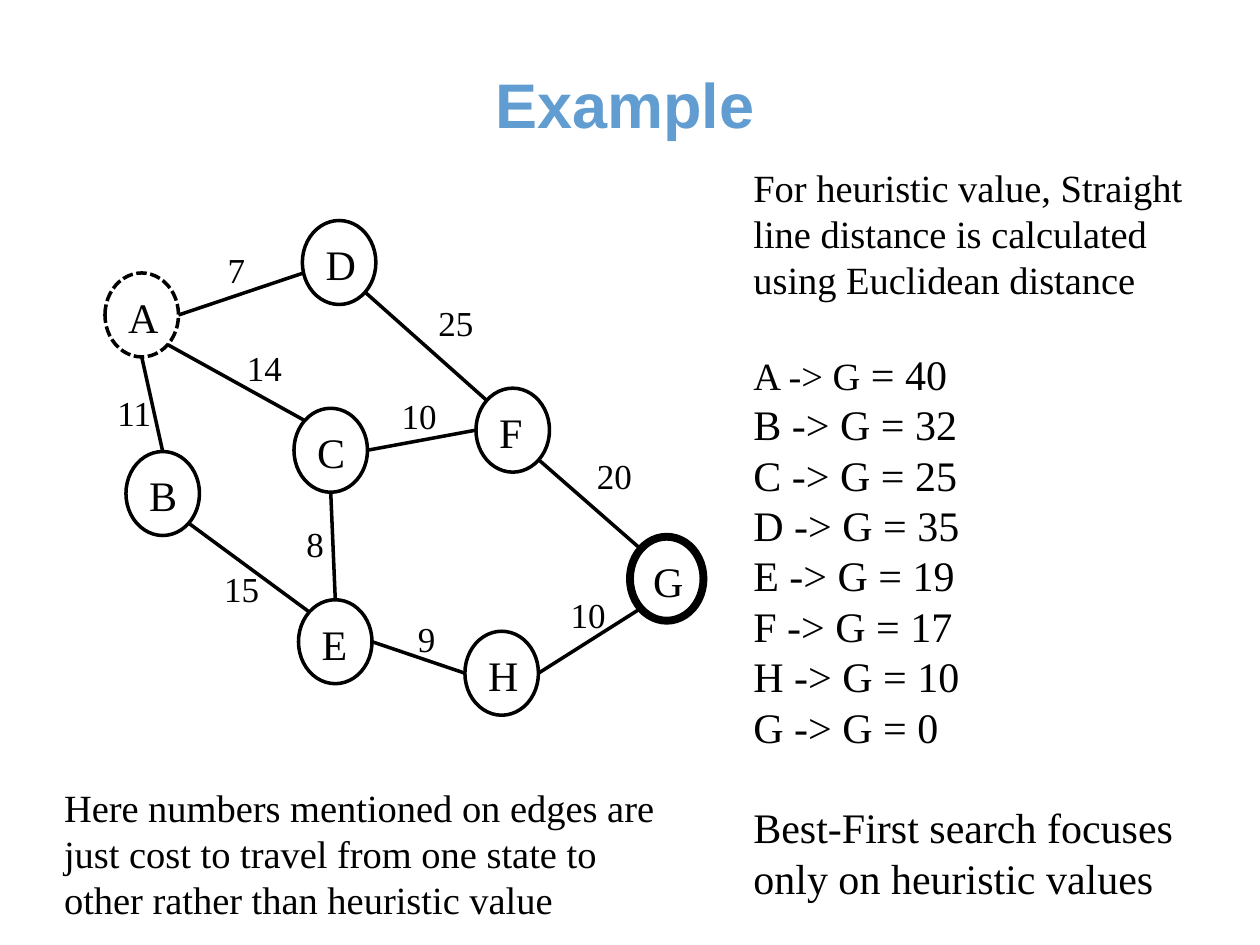
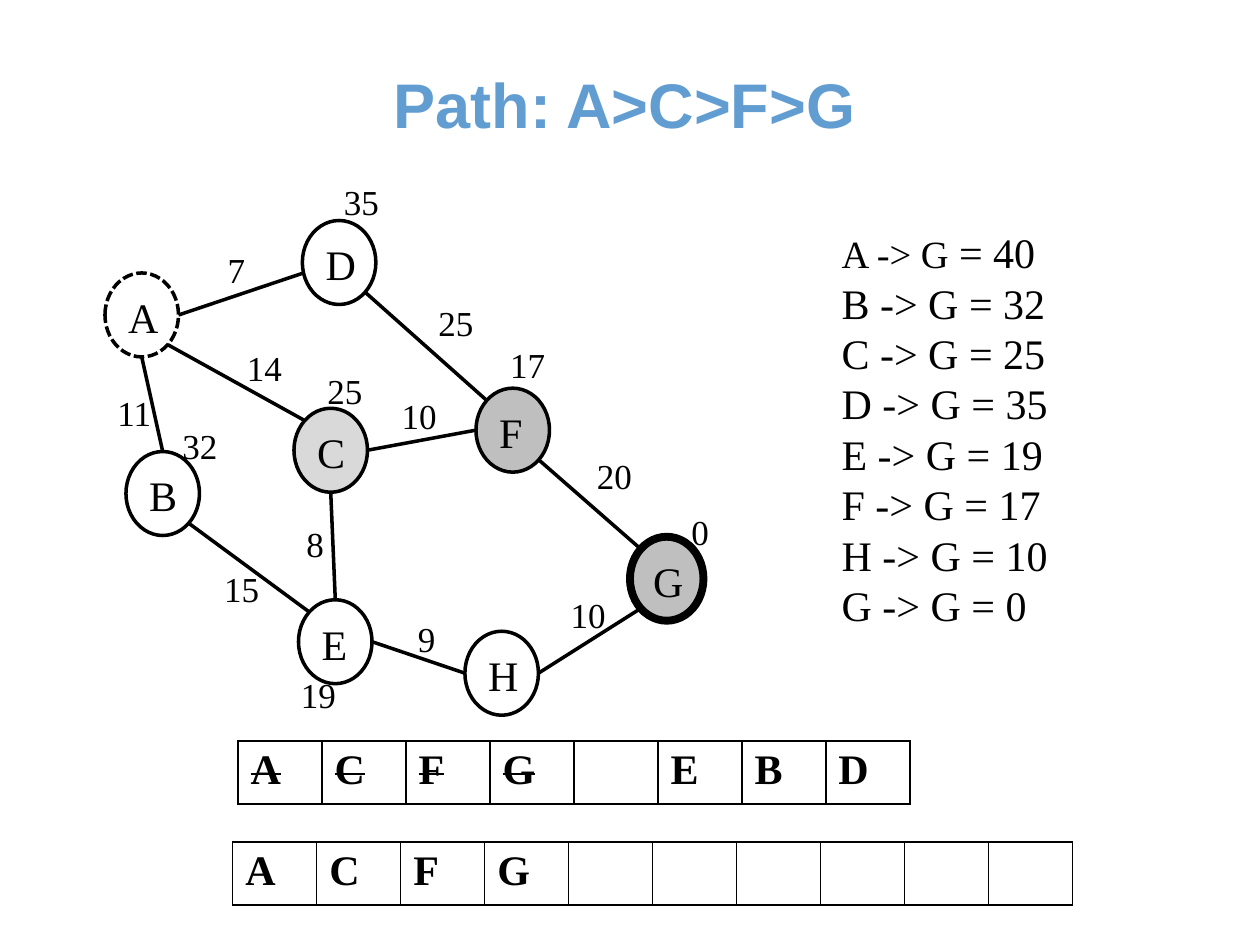
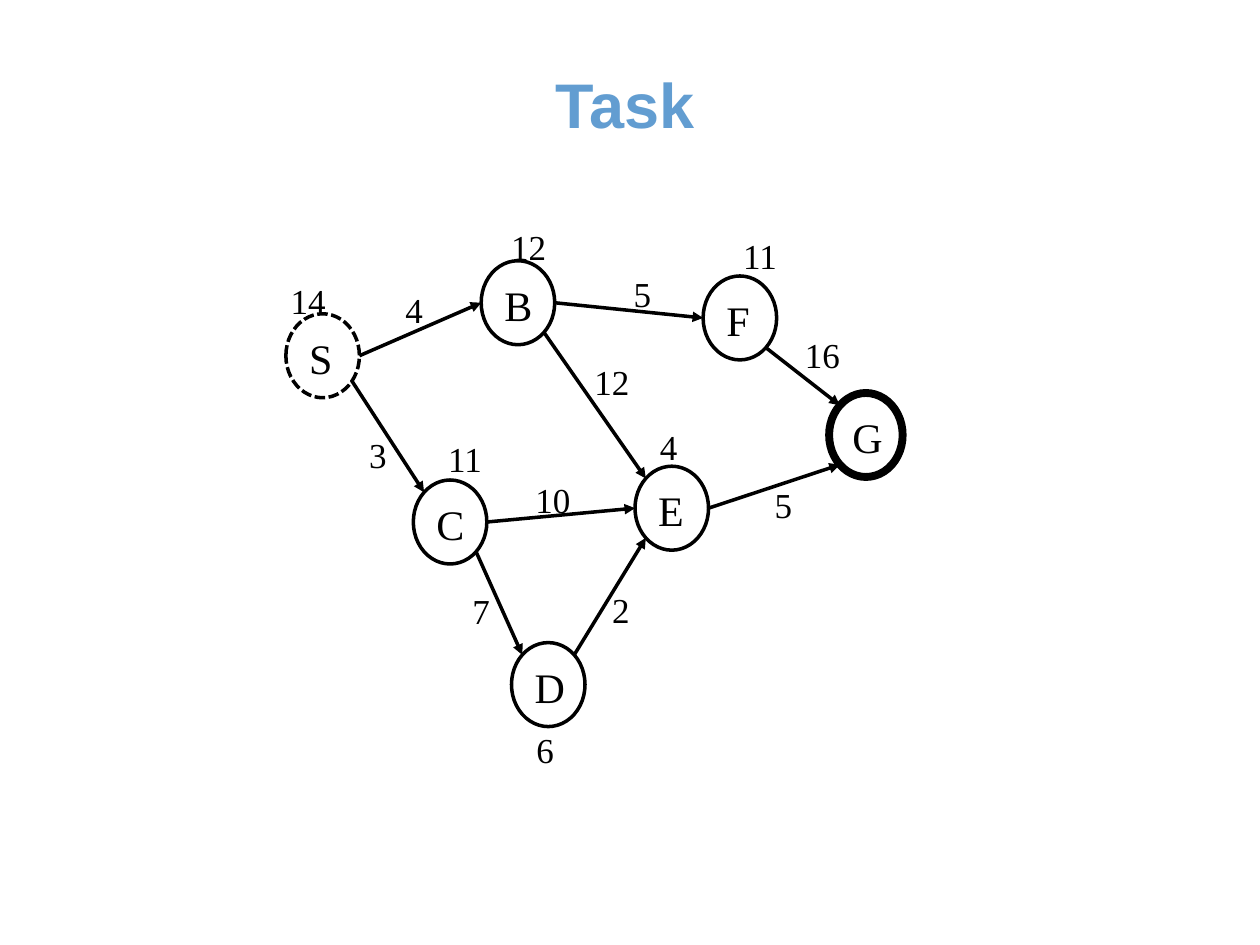
"""Build three slides on best-first search over small weighted graphs."""
from dataclasses import dataclass
from math import cos, pi, sin
from typing import NamedTuple, Optional

from lxml.etree import SubElement
from pptx import Presentation
from pptx.dml.color import RGBColor
from pptx.enum.dml import MSO_LINE
from pptx.enum.shapes import MSO_CONNECTOR, MSO_SHAPE
from pptx.enum.text import MSO_ANCHOR, PP_ALIGN
from pptx.oxml.ns import qn
from pptx.shapes.autoshape import Shape
from pptx.slide import Slide
from pptx.text.text import TextFrame
from pptx.util import Pt

COLORS = {"title": "629DD1", "ink": "000000", "light": "D9D9D9", "gray": "BFBFBF"}
SERIF, SANS = "Times New Roman", "Arial"
NODE_W, NODE_H = 42, 48
CELL_W, CELL_H = 48, 29.5
TOP, TOP_LEFT, LEFT, BOTTOM_LEFT, BOTTOM, BOTTOM_RIGHT, RIGHT, TOP_RIGHT = range(8)


class Label(NamedTuple):
    """A number and the top left corner of its box."""
    text: str
    x: float
    y: float


@dataclass
class Node:
    """A state of the graph; h is its heuristic label."""
    name: str
    x: float
    y: float
    h: Optional[Label] = None
    fill: Optional[str] = None
    dashed: bool = False
    weight: float = 2

    def site(self, i: int) -> tuple[float, float]:
        """Return connection site i, counted anticlockwise from the top."""
        angle = pi / 2 + i * pi / 4
        return (self.x + NODE_W / 2 * (1 + cos(angle)),
                self.y + NODE_H / 2 * (1 - sin(angle)))


class Edge(NamedTuple):
    """A link between two nodes; a point replaces a site where the end is free."""
    start: str
    out: int | tuple[float, float]
    end: str
    into: int | tuple[float, float]
    cost: Label


SEARCH_NODES = [
    Node("D", 172.8, 126, Label("35", 189.4, 99.4)),
    Node("A", 60, 156, dashed=True),
    Node("B", 72, 258, Label("32", 97.2, 239)),
    Node("C", 168, 233.3, Label("25", 180, 207.4), "light"),
    Node("F", 272, 221.8, Label("17", 284.4, 193), "gray"),
    Node("E", 170.6, 342.7, Label("19", 164.9, 381.6)),
    Node("G", 360, 306.7, Label("0", 388, 288), "gray", weight=4.5),
    Node("H", 265.7, 360.7),
]
SEARCH_EDGES = [
    Edge("A", RIGHT, "D", (172.8, 156.2), Label("7", 123, 138.2)),
    Edge("A", BOTTOM, "B", TOP, Label("11", 60, 220.3)),
    Edge("A", BOTTOM_RIGHT, "C", TOP_LEFT, Label("14", 134, 194.4)),
    Edge("D", BOTTOM_RIGHT, "F", TOP_LEFT, Label("25", 243.4, 168.5)),
    Edge("C", RIGHT, "F", LEFT, Label("10", 222.5, 221.8)),
    Edge("C", BOTTOM, "E", TOP, Label("8", 168, 295.2)),
    Edge("B", BOTTOM_RIGHT, "E", TOP_LEFT, Label("15", 121, 321)),
    Edge("E", RIGHT, "H", LEFT, Label("9", 231.8, 349.2)),
    Edge("F", BOTTOM_RIGHT, "G", TOP_LEFT, Label("20", 334, 256.3)),
    Edge("H", RIGHT, "G", BOTTOM_LEFT, Label("10", 319, 335.5)),
]
TASK_NODES = [
    Node("S", 163.4, 179.3, Label("14", 159, 156.2), dashed=True),
    Node("B", 275, 149, Label("12", 285, 125.3)),
    Node("C", 236.2, 274.3, Label("11", 249, 246.2)),
    Node("D", 292.3, 367.2, Label("6", 299.5, 412.6)),
    Node("E", 362.9, 266.4, Label("4", 370, 239.8)),
    Node("F", 401.8, 157.7, Label("11", 417.6, 130.3)),
    Node("G", 473.8, 224.6, weight=4.5),
]
TASK_EDGES = [
    Edge("S", RIGHT, "B", LEFT, Label("4", 224.6, 161.3)),
    Edge("S", (200.9, 217.4), "C", TOP_LEFT, Label("3", 203.8, 244)),
    Edge("B", RIGHT, "F", LEFT, Label("5", 355, 152)),
    Edge("B", BOTTOM_RIGHT, "E", TOP_LEFT, Label("12", 332.6, 202.3)),
    Edge("C", RIGHT, "E", LEFT, Label("10", 298.8, 270)),
    Edge("C", BOTTOM_RIGHT, "D", TOP_LEFT, Label("7", 262.8, 333.4)),
    Edge("D", TOP_RIGHT, "E", BOTTOM_LEFT, Label("2", 342.7, 332.6)),
    Edge("F", BOTTOM_RIGHT, "G", TOP_LEFT, Label("16", 452.9, 187.2)),
    Edge("E", RIGHT, "G", BOTTOM_LEFT, Label("5", 435.6, 272.9)),
]
DISTANCES = {"B": 32, "C": 25, "D": 35, "E": 19, "F": 17, "H": 10, "G": 0}


def rgb(name: str) -> RGBColor:
    """Return a named colour."""
    return RGBColor.from_string(COLORS[name])


def write(tf: TextFrame, text: str, *, size: float = 24, font: str = SERIF,
          color: str = "ink", bold: bool = False, strike: bool = False,
          align: PP_ALIGN = PP_ALIGN.LEFT, before: float = 0, join: bool = False) -> None:
    """Add text as a new paragraph, or join it to the last one."""
    p = tf.paragraphs[-1]
    if p.runs and not join:
        p = tf.add_paragraph()
    p.alignment = align
    if before:
        p.space_before = Pt(before)
    r = p.add_run()
    r.text = text
    r.font.size, r.font.name, r.font.bold = Pt(size), font, bold
    r.font.color.rgb = rgb(color)
    if strike:
        r._r.get_or_add_rPr().set("strike", "sngStrike")


def add_box(s: Slide, x: float, y: float, w: float, h: float) -> TextFrame:
    """Add a wrapping text box and return its frame."""
    tf = s.shapes.add_textbox(Pt(x), Pt(y), Pt(w), Pt(h)).text_frame
    tf.word_wrap = True
    return tf


def add_slide(prs: Presentation, title: str) -> Slide:
    """Add a blank slide with the shared title."""
    s = prs.slides.add_slide(prs.slide_layouts[6])
    tf = add_box(s, 30, 18, 654, 66)
    tf.vertical_anchor = MSO_ANCHOR.BOTTOM
    write(tf, title, size=36, font=SANS, color="title", bold=True, align=PP_ALIGN.CENTER)
    return s


def add_label(s: Slide, label: Label) -> None:
    """Draw a cost or heuristic number."""
    write(add_box(s, label.x, label.y, 42, 31.7), label.text, size=20)


def add_node(s: Slide, node: Node, filled: bool) -> Shape:
    """Draw a node as an ellipse."""
    sp = s.shapes.add_shape(MSO_SHAPE.OVAL, Pt(node.x), Pt(node.y), Pt(NODE_W), Pt(NODE_H))
    sp.shadow.inherit = False
    if filled and node.fill:
        sp.fill.solid()
        sp.fill.fore_color.rgb = rgb(node.fill)
    else:
        sp.fill.background()
    sp.line.color.rgb, sp.line.width = rgb("ink"), Pt(node.weight)
    if node.dashed:
        sp.line.dash_style = MSO_LINE.SQUARE_DOT
    tf = sp.text_frame
    tf.vertical_anchor = MSO_ANCHOR.TOP
    write(tf, node.name)
    return sp


def add_graph(s: Slide, nodes: list[Node], edges: list[Edge], *, filled: bool = False,
              heuristics: bool = False, arrows: bool = False) -> None:
    """Draw nodes, edges and their numbers."""
    by_name = {n.name: n for n in nodes}
    ovals = {n.name: add_node(s, n, filled) for n in nodes}
    for e in edges:
        ends = (("a:stCxn", e.start, e.out), ("a:endCxn", e.end, e.into))
        points = [at if isinstance(at, tuple) else by_name[name].site(at)
                  for _, name, at in ends]
        cx = s.shapes.add_connector(MSO_CONNECTOR.STRAIGHT,
                                    *(Pt(v) for point in points for v in point))
        cx.line.color.rgb, cx.line.width = rgb("ink"), Pt(2)
        spPr = cx._element.spPr
        if arrows:
            SubElement(spPr.find(qn("a:ln")), qn("a:tailEnd"), type="triangle")
        SubElement(spPr, qn("a:effectLst"))
        for tag, name, at in ends:
            if isinstance(at, int):
                SubElement(cx._element.nvCxnSpPr.cNvCxnSpPr, qn(tag),
                           id=str(ovals[name].shape_id), idx=str(at))
    for e in edges:
        add_label(s, e.cost)
    if heuristics:
        for n in nodes:
            if n.h:
                add_label(s, n.h)


def write_distances(tf: TextFrame, before: float = 0) -> None:
    """List the straight line distance of each state to the goal."""
    write(tf, "A -> G", size=22, before=before)
    write(tf, " = 40", join=True)
    for name, distance in DISTANCES.items():
        write(tf, f"{name} -> G = {distance}")


def add_queue(s: Slide, x: float, y: float, names: list[str], struck: int = 0) -> None:
    """Draw a one-row table of states, striking the first ones."""
    n = len(names)
    tbl = s.shapes.add_table(1, n, Pt(x), Pt(y), Pt(CELL_W * n), Pt(CELL_H)).table
    tbl.first_row = tbl.horz_banding = False
    for i, name in enumerate(names):
        cell = tbl.cell(0, i)
        if name:
            write(cell.text_frame, name, bold=True, strike=i < struck)
        tcPr = cell._tc.get_or_add_tcPr()
        for side in ("a:lnL", "a:lnR", "a:lnT", "a:lnB"):
            ln = SubElement(tcPr, qn(side), w=str(Pt(1)))
            SubElement(SubElement(ln, qn("a:solidFill")), qn("a:srgbClr"), val=COLORS["ink"])
        cell.fill.background()


def main() -> None:
    """Build and save the slides."""
    prs = Presentation()
    prs.slide_width, prs.slide_height = Pt(720), Pt(540)

    s = add_slide(prs, "Example")
    add_graph(s, SEARCH_NODES, SEARCH_EDGES)
    tf = add_box(s, 423.4, 90, 281.5, 433.4)
    write(tf, "For heuristic value, Straight line distance is calculated "
              "using Euclidean distance", size=22)
    write_distances(tf, before=26.3)
    write(tf, "Best-First search focuses only on heuristic values", before=28.7)
    write(add_box(s, 29.5, 444.2, 354.2, 87),
          "Here numbers mentioned on edges are just cost to travel from one state "
          "to other rather than heuristic value", size=22)

    s = add_slide(prs, "Path: A>C>F>G")
    add_graph(s, SEARCH_NODES, SEARCH_EDGES, filled=True, heuristics=True)
    write_distances(add_box(s, 473.8, 126, 210.2, 269.3))
    add_queue(s, 136, 423.4, ["A", "C", "F", "G", "", "E", "B", "D"], struck=4)
    add_queue(s, 133, 481, ["A", "C", "F", "G"] + [""] * 6)

    s = add_slide(prs, "Task")
    add_graph(s, TASK_NODES, TASK_EDGES, heuristics=True, arrows=True)
    prs.save("out.pptx")


if __name__ == "__main__":
    main()
